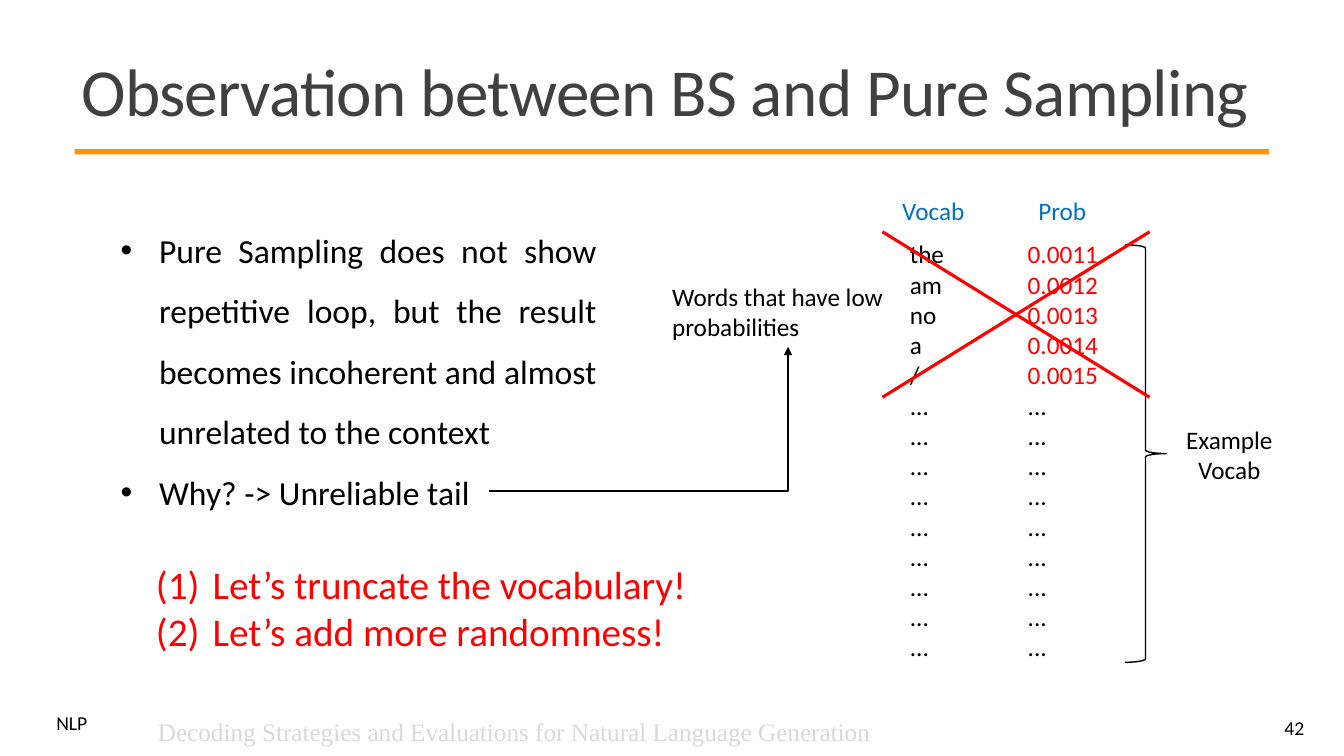
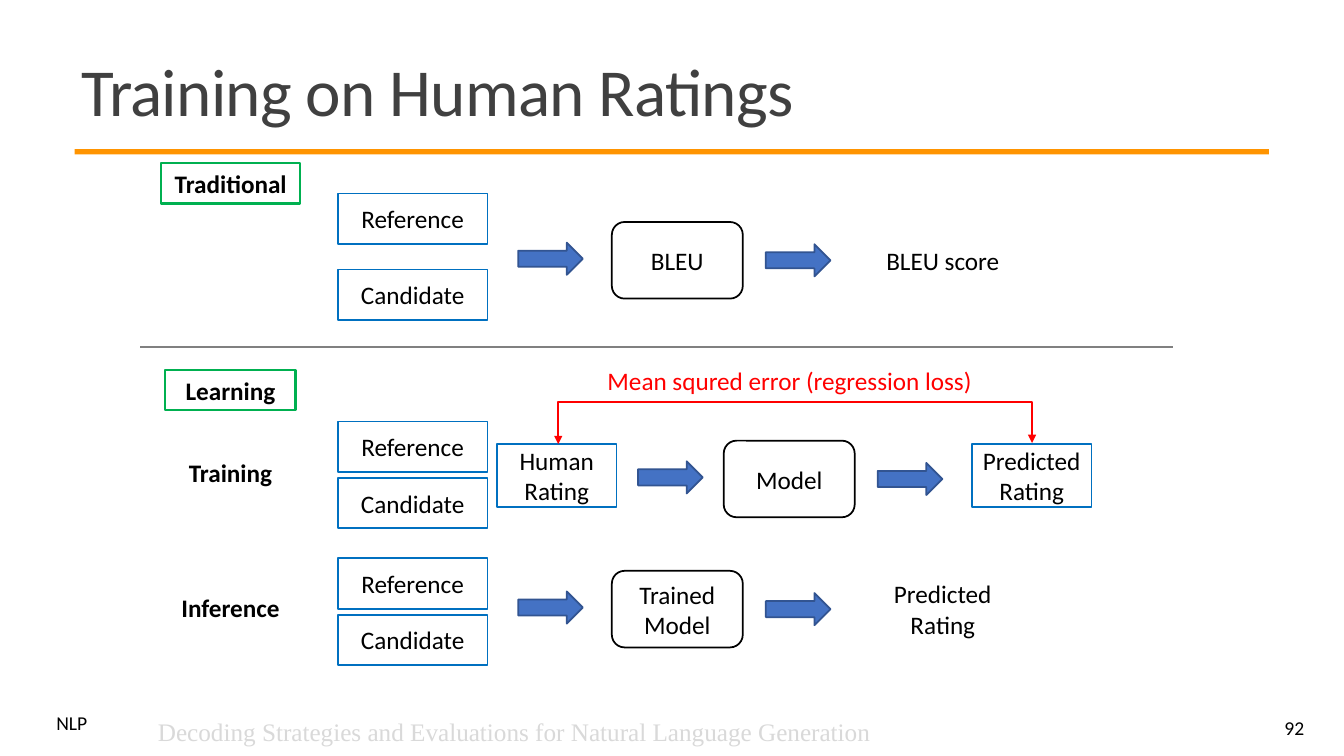
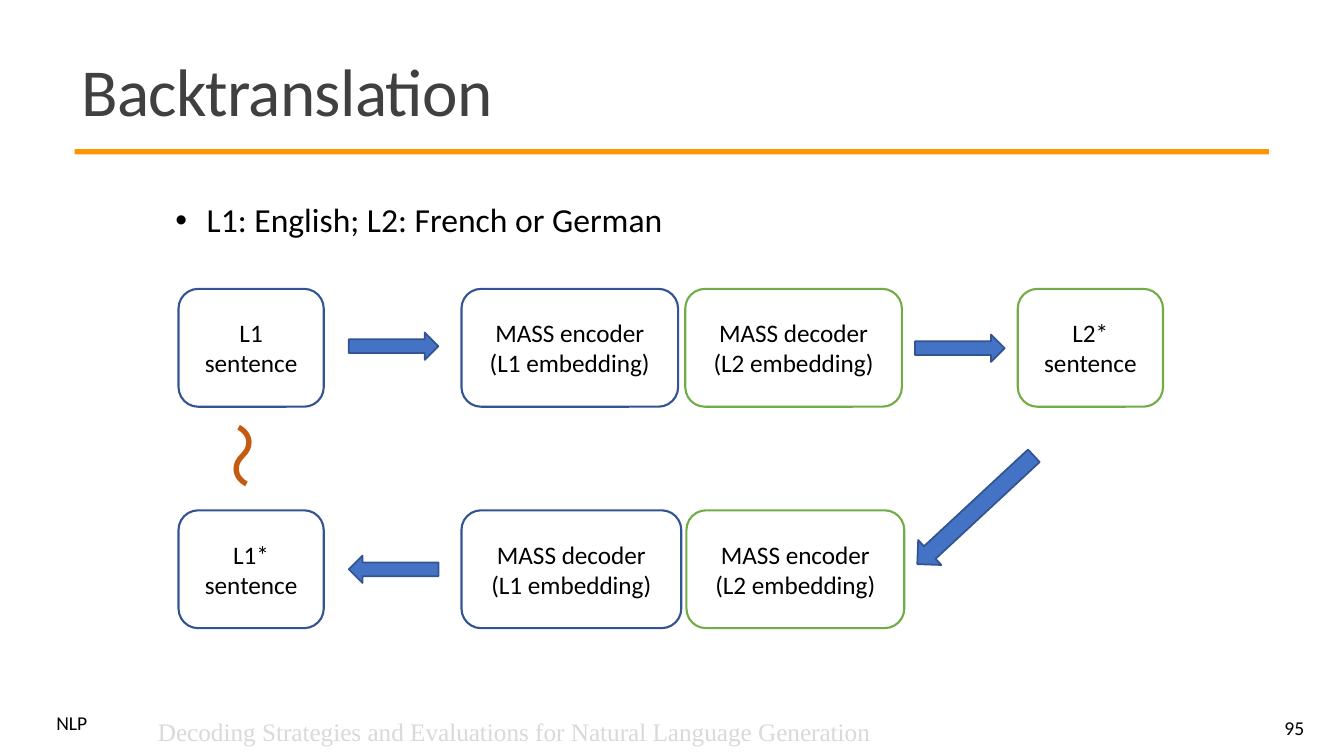
import lxml.etree
import pptx
import pptx.dml.color
import pptx.enum.shapes
import pptx.enum.text
import pptx.oxml.ns
import pptx.util

Cm = pptx.util.Cm
Pt = pptx.util.Pt
RGBColor = pptx.dml.color.RGBColor
SHAPE = pptx.enum.shapes.MSO_SHAPE
CONNECTOR = pptx.enum.shapes.MSO_CONNECTOR
ALIGN = pptx.enum.text.PP_ALIGN
ANCHOR = pptx.enum.text.MSO_ANCHOR
qn = pptx.oxml.ns.qn

BLACK = RGBColor(0x00, 0x00, 0x00)
TITLE_GRAY = RGBColor(0x40, 0x40, 0x40)
RULE_GRAY = RGBColor(0x80, 0x80, 0x80)
FOOTER_GRAY = RGBColor(0xD9, 0xD9, 0xD9)
ORANGE = RGBColor(0xFF, 0x94, 0x00)
TILDE_ORANGE = RGBColor(0xC5, 0x5A, 0x11)
RED = RGBColor(0xFF, 0x00, 0x00)
BLUE = RGBColor(0x00, 0x70, 0xC0)
ARROW_BLUE = RGBColor(0x44, 0x72, 0xC4)
DARK_BLUE = RGBColor(0x32, 0x54, 0x91)
LABEL_GREEN = RGBColor(0x00, 0xB0, 0x50)
L2_GREEN = RGBColor(0x70, 0xAD, 0x47)

BODY_FONT = "Calibri"
FOOTER_FONT = "Times New Roman"
FOOTER = "Decoding Strategies and Evaluations for Natural Language Generation"


def add_bullet(paragraph, indent, bullet):
    """Hang the paragraph by indent cm behind a dot or an automatic number."""
    properties = paragraph._p.get_or_add_pPr()
    properties.set("marL", str(Cm(indent)))
    properties.set("indent", str(-Cm(indent)))
    if bullet == "•":
        lxml.etree.SubElement(properties, qn("a:buFont"), typeface="Arial")
        lxml.etree.SubElement(properties, qn("a:buChar"), char=bullet)
    else:
        lxml.etree.SubElement(properties, qn("a:buAutoNum"), type=bullet)


def write(shape, lines, size=18, color=BLACK, align=ALIGN.LEFT, bold=False,
          font=BODY_FONT, spacing=None, anchor=ANCHOR.TOP, bullet=None,
          indent=0.0, wrap=True):
    """Fill the shape with one paragraph per line and return the runs."""
    frame = shape.text_frame
    frame.word_wrap = wrap
    frame.vertical_anchor = anchor
    runs = []
    for index, line in enumerate(lines):
        paragraph = frame.add_paragraph() if index else frame.paragraphs[0]
        paragraph.alignment = align
        if spacing:
            paragraph.line_spacing = spacing
        if bullet:
            add_bullet(paragraph, indent, bullet)
        run = paragraph.add_run()
        run.text = line
        run.font.name = font
        run.font.size = Pt(size)
        run.font.bold = bold
        run.font.color.rgb = color
        runs.append(run)
    return runs


def add_text(slide, left, top, width, height, lines, **style):
    box = slide.shapes.add_textbox(Cm(left), Cm(top), Cm(width), Cm(height))
    return write(box, lines, **style)


def add_figure(slide, kind, left, top, width, height, line=None, weight=1.25,
               fill=None):
    figure = slide.shapes.add_shape(kind, Cm(left), Cm(top), Cm(width), Cm(height))
    figure.shadow.inherit = False
    if fill is None:
        figure.fill.background()
    else:
        figure.fill.solid()
        figure.fill.fore_color.rgb = fill
    if line is None:
        figure.line.fill.background()
    else:
        figure.line.color.rgb = line
        figure.line.width = Pt(weight)
    return figure


def add_box(slide, kind, left, top, width, height, lines, line, weight=1.25,
            bold=False):
    """Outlined box with centred text."""
    box = add_figure(slide, kind, left, top, width, height, line, weight)
    write(box, lines, align=ALIGN.CENTER, anchor=ANCHOR.MIDDLE, bold=bold)


def add_block_arrow(slide, left, top, width, height, rotation=0.0):
    arrow = add_figure(slide, SHAPE.RIGHT_ARROW, left, top, width, height,
                       DARK_BLUE, fill=ARROW_BLUE)
    arrow.rotation = rotation


def add_line(slide, start, end, color, weight, kind=CONNECTOR.STRAIGHT, ends=()):
    """Connector whose ends (headEnd, tailEnd) may carry triangles."""
    line = slide.shapes.add_connector(kind, *(Cm(value) for value in start + end))
    line.line.color.rgb = color
    line.line.width = Pt(weight)
    for end_name in ends:
        lxml.etree.SubElement(line.line._get_or_add_ln(), qn("a:" + end_name),
                              type="triangle")
    lxml.etree.SubElement(line._element.spPr, qn("a:effectLst"))
    return line


def add_loss_bracket(slide, left, right, base, rise):
    """Two-headed bracket standing on base and rising above both ends."""
    thickness = 0.03
    middle, half = (left + right) / 2, (right - left) / 2
    bracket = add_line(slide, (middle + thickness / 2, base + half),
                       (middle - thickness / 2, base - half), RED, 1.5,
                       CONNECTOR.ELBOW, ("headEnd", "tailEnd"))
    properties = bracket._element.spPr
    properties.find(qn("a:xfrm")).set("rot", str(90 * 60000))
    adjustments = properties.find(qn("a:prstGeom")).find(qn("a:avLst"))
    lxml.etree.SubElement(adjustments, qn("a:gd"), name="adj1",
                          fmla=f"val {round(rise / thickness * 100000)}")


def add_slide(deck, title, number):
    """Blank slide with the shared title, rule and footers."""
    slide = deck.slides.add_slide(deck.slide_layouts[6])
    add_figure(slide, SHAPE.RECTANGLE, 1.88, 3.76, 30.1, 0.13, fill=ORANGE)
    add_text(slide, 1.17, 17.91, 1.55, 0.74, ["NLP"], size=14, spacing=0.8)
    [title_run] = add_text(slide, 1.8, 0.99, 30.33, 2.87, [title], size=48,
                           color=TITLE_GRAY, spacing=0.85, anchor=ANCHOR.MIDDLE)
    title_run.font._element.set("spc", "-50")
    add_text(slide, 29.49, 17.83, 3.63, 1.02, [number], size=14,
             align=ALIGN.RIGHT, anchor=ANCHOR.MIDDLE)
    add_text(slide, 3.73, 17.93, 19.1, 1.02, [FOOTER], color=FOOTER_GRAY,
             font=FOOTER_FONT)
    return slide


def build_observation(deck):
    slide = add_slide(deck, "Observation between BS and Pure Sampling", "42")
    add_text(slide, 2.79, 5.16, 12.5, 9.32,
             ["Pure Sampling does not show repetitive loop, but the result "
              "becomes incoherent and almost unrelated to the context",
              "Why? -> Unreliable tail"],
             size=24, align=ALIGN.JUSTIFY, spacing=1.5, bullet="•", indent=0.97)

    words = ["the", "am", "no", "a", "/"]
    probabilities = ["0.0011", "0.0012", "0.0013", "0.0014", "0.0015"]
    tail = ["..."] * 9
    add_text(slide, 22.68, 5.89, 4.8, 11.02, words + tail)
    probability_runs = add_text(slide, 25.65, 5.89, 3.45, 11.02,
                                probabilities + tail)
    for run in probability_runs[:len(probabilities)]:
        run.font.color.rgb = RED
    for left, heading in ((22.35, "Vocab"), (25.6, "Prob")):
        add_text(slide, left, 4.8, 2.34, 1.02, [heading], color=BLUE,
                 align=ALIGN.CENTER)

    add_figure(slide, SHAPE.RIGHT_BRACE, 28.35, 6.17, 1.04, 10.52, BLACK, 1)
    add_text(slide, 29.57, 10.57, 2.82, 1.8, ["Example", "Vocab"],
             align=ALIGN.CENTER)
    add_text(slide, 16.69, 6.96, 6.32, 1.8, ["Words that have low probabilities"])
    elbow = add_line(slide, (12.32, 12.37), (19.86, 8.74), BLACK, 1.5,
                     CONNECTOR.ELBOW, ("tailEnd",))
    elbow._element.spPr.find(qn("a:prstGeom")).set("prst", "bentConnector2")

    add_text(slide, 3.68, 14, 14.88, 2.64,
             ["Let’s truncate the vocabulary!", "Let’s add more randomness!"],
             size=28, color=RED, bullet="arabicParenBoth", indent=1.43)
    cross_left, cross_right, cross_top, cross_bottom = 22.24, 28.97, 5.84, 10.01
    add_line(slide, (cross_left, cross_top), (cross_right, cross_bottom), RED, 2.25)
    add_line(slide, (cross_left, cross_bottom), (cross_right, cross_top), RED, 2.25)


def add_input_pair(slide, top, pitch):
    for index, name in enumerate(("Reference", "Candidate")):
        add_box(slide, SHAPE.RECTANGLE, 8.51, top + index * pitch, 3.78, 1.27,
                [name], BLUE)


def add_scorer(slide, arrow_left, left, middle, name):
    """Rounded box centred on middle with an arrow on each side."""
    width, height, arrow_width, arrow_height = 3.3, 1.93, 1.63, 0.81
    add_box(slide, SHAPE.ROUNDED_RECTANGLE, left, middle - height / 2, width,
            height, [name], BLACK)
    arrow_top = middle - arrow_height / 2
    add_block_arrow(slide, arrow_left, arrow_top - 0.04, arrow_width, arrow_height)
    add_block_arrow(slide, left + width + 0.58, arrow_top, arrow_width, arrow_height)


def build_ratings(deck):
    slide = add_slide(deck, "Training on Human Ratings", "92")
    for left, top, width, name in ((4.06, 4.11, 3.51, "Traditional"),
                                   (4.17, 9.32, 3.28, "Learning")):
        add_box(slide, SHAPE.RECTANGLE, left, top, width, 1.02, [name],
                LABEL_GREEN, 1.5, bold=True)
    for top, name in ((11.4, "Training"), (14.81, "Inference")):
        add_text(slide, 4.17, top, 3.28, 1.02, [name], bold=True,
                 align=ALIGN.CENTER)
    for top, pitch in ((4.88, 1.91), (10.62, 1.42), (14.07, 1.42)):
        add_input_pair(slide, top, pitch)

    for arrow_left, left, middle, name in ((13.06, 15.42, 6.56, "BLEU"),
                                           (16.08, 18.24, 12.07, "Model"),
                                           (13.06, 15.42, 15.35, "Trained Model")):
        add_scorer(slide, arrow_left, left, middle, name)
    for middle, result in ((6.56, "BLEU score"), (15.35, "Predicted Rating")):
        add_text(slide, 21.87, middle - 0.64, 3.78, 1.27, [result],
                 align=ALIGN.CENTER, anchor=ANCHOR.MIDDLE)

    for left, rating in ((12.52, "Human Rating"), (24.49, "Predicted Rating")):
        add_box(slide, SHAPE.RECTANGLE, left, 11.18, 3.02, 1.6, [rating], BLUE)
    add_loss_bracket(slide, 14.07, 26.01, 11.18, 1.06)
    add_text(slide, 15.06, 9.09, 10.13, 1.02,
             ["Mean squred error (regression loss)"], color=RED)
    add_line(slide, (3.53, 8.74), (29.57, 8.74), RULE_GRAY, 1)


def build_backtranslation(deck):
    slide = add_slide(deck, "Backtranslation", "95")
    add_text(slide, 4.17, 4.39, 14.68, 1.63, ["L1: English; L2: French or German"],
             size=24, spacing=1.5, bullet="•", indent=0.79)

    upper, lower = 7.28, 12.86
    for left, top, width, lines, color in (
            (4.5, upper, 3.66, ["L1 sentence"], DARK_BLUE),
            (11.63, upper, 5.46, ["MASS encoder", "(L1 embedding)"], DARK_BLUE),
            (17.27, upper, 5.46, ["MASS decoder", "(L2 embedding)"], L2_GREEN),
            (25.65, upper, 3.66, ["L2* sentence"], L2_GREEN),
            (4.5, lower, 3.66, ["L1* sentence"], DARK_BLUE),
            (11.63, lower, 5.54, ["MASS decoder", "(L1 embedding)"], DARK_BLUE),
            (17.3, lower, 5.49, ["MASS encoder", "(L2 embedding)"], L2_GREEN)):
        add_box(slide, SHAPE.ROUNDED_RECTANGLE, left, top, width, 2.97, lines,
                color, 1.5)
    for left, top, rotation in ((8.79, 8.38, 0), (23.06, 8.43, 0), (8.79, 14, 180)):
        add_block_arrow(slide, left, top, 2.26, 0.69, rotation)
    add_block_arrow(slide, 22.58, 12.42, 4.01, 0.86, 137.1)

    similarity = slide.shapes.add_textbox(Cm(5.03), Cm(10.36), Cm(2.24), Cm(2.31))
    similarity.rotation = 90
    write(similarity, ["～"], size=48, color=TILDE_ORANGE, wrap=False)


def main():
    deck = pptx.Presentation()
    deck.slide_width = Cm(33.87)
    deck.slide_height = Cm(19.05)
    build_observation(deck)
    build_ratings(deck)
    build_backtranslation(deck)
    deck.save("out.pptx")


if __name__ == "__main__":
    main()
